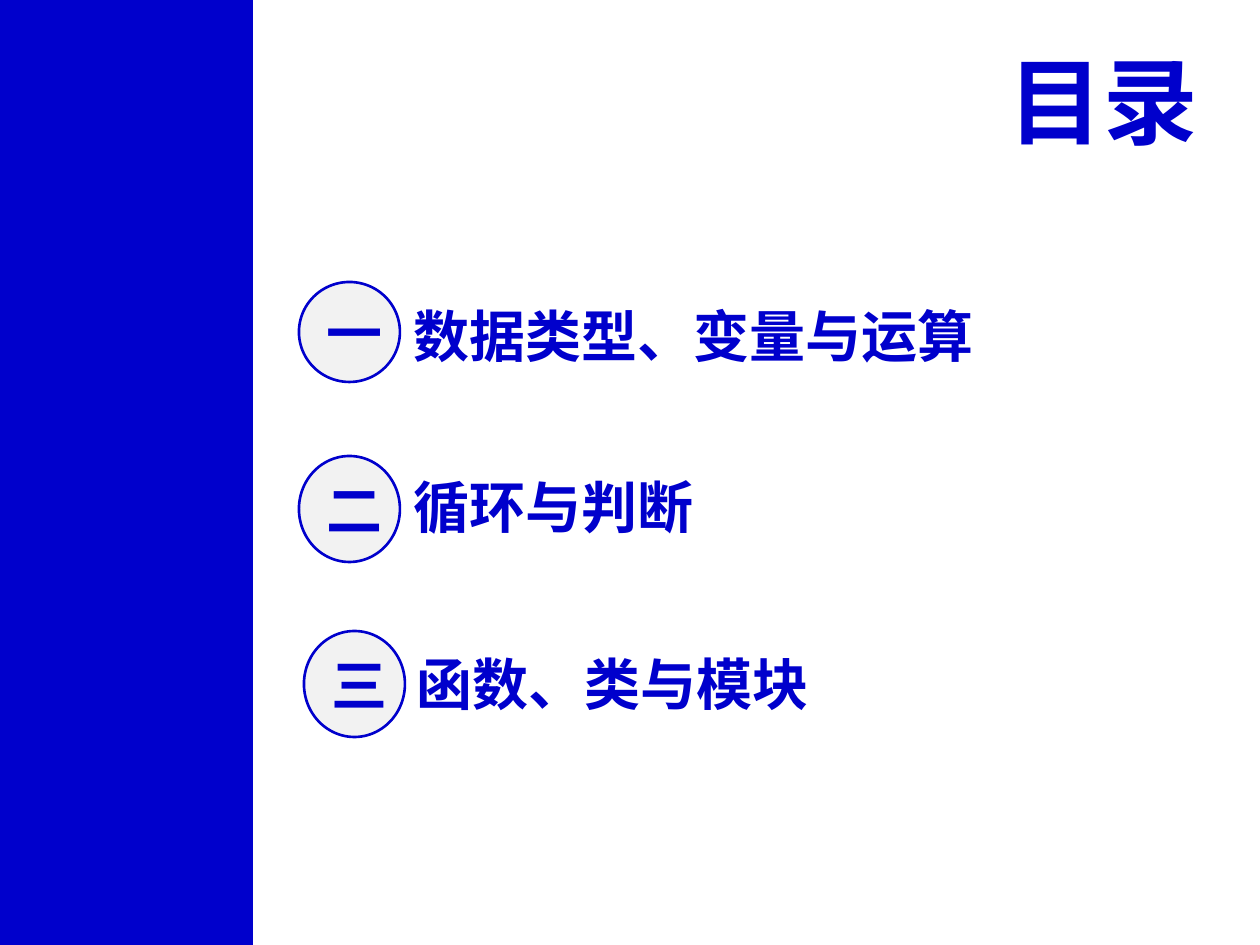
from dataclasses import dataclass
from lxml.etree import SubElement
from pptx import Presentation
from pptx.dml.color import RGBColor as Rgb
from pptx.enum.shapes import MSO_SHAPE as Shape
from pptx.enum.text import MSO_ANCHOR as Anchor, MSO_AUTO_SIZE as Fit, PP_ALIGN as Align
from pptx.oxml.ns import qn
from pptx.util import Pt

SCALE = 914400 / 126


@dataclass(frozen=True)
class Theme:
    blue: Rgb = Rgb(0x00, 0x00, 0xCC)
    pale: Rgb = Rgb(0xF2, 0xF2, 0xF2)
    title: int = 54
    item: int = 32
    latin: str = "Arial"
    asian: str = "Noto Sans CJK SC"


THEME = Theme()
TOPICS = [
    ("一", "数据类型、变量与运算", (299, 282, 101, 100), (401, 295, 610, 81)),
    ("二", "循环与判断", (299, 456, 101, 106), (401, 466, 382, 81)),
    ("三", "函数、类与模块", (304, 631, 101, 106), (404, 643, 553, 81)),
]


def px(*sizes):
    return [round(size * SCALE) for size in sizes]


def write(shape, text, size=THEME.item, font=THEME.latin, align=Align.LEFT,
          anchor=Anchor.MIDDLE, wrap=True, fit=Fit.NONE):
    frame = shape.text_frame
    frame.word_wrap = wrap
    frame.auto_size = fit
    frame.vertical_anchor = anchor
    para = frame.paragraphs[0]
    para.alignment = align
    run = para.add_run()
    run.text = text
    run.font.size = Pt(size)
    run.font.bold = True
    run.font.name = font
    run.font.color.rgb = THEME.blue
    SubElement(run.font._element, qn("a:ea"), typeface=THEME.asian)


def draw(shapes, kind, box, fill, line=None):
    shape = shapes.add_shape(kind, *px(*box))
    shape.shadow.inherit = False
    shape.fill.solid()
    shape.fill.fore_color.rgb = fill
    if line is None:
        shape.line.fill.background()
    else:
        shape.line.color.rgb = line
        shape.line.width = Pt(1.5)
    return shape


def label(shapes, text, box, **style):
    write(shapes.add_textbox(*px(*box)), text, fit=Fit.SHAPE_TO_FIT_TEXT, **style)


def topic(shapes, mark, text, disc, box):
    group = shapes.add_group_shape().shapes
    badge = draw(group, Shape.OVAL, disc, THEME.pale, THEME.blue)
    write(badge, mark, font=THEME.asian, align=Align.CENTER)
    label(group, text, box)


def main():
    deck = Presentation()
    deck.slide_width, deck.slide_height = px(1260, 945)
    shapes = deck.slides.add_slide(deck.slide_layouts[6]).shapes
    draw(shapes, Shape.RECTANGLE, (0, 0, 253, 945), THEME.blue)
    for entry in TOPICS:
        topic(shapes, *entry)
    label(shapes, "目录", (988, 37, 222, 127), size=THEME.title,
          align=Align.RIGHT, anchor=Anchor.TOP, wrap=False)
    deck.save("out.pptx")


if __name__ == "__main__":
    main()
